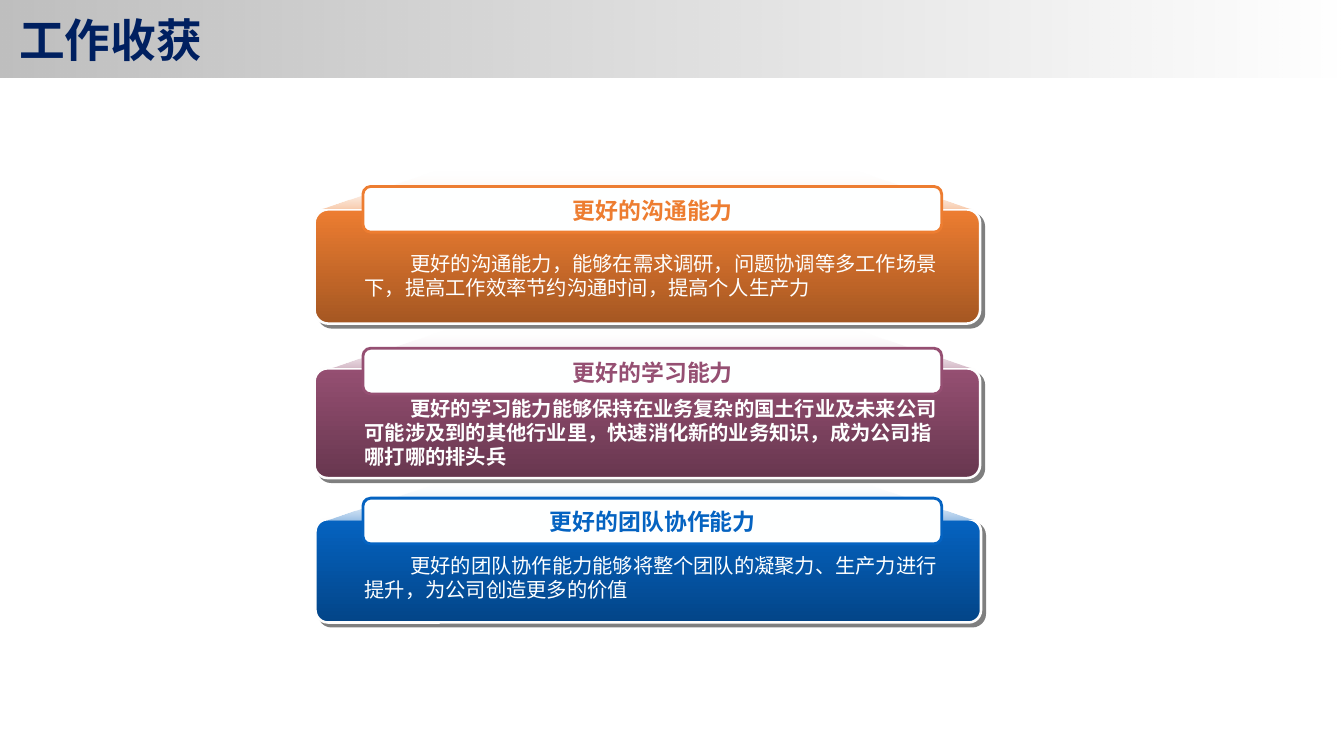
from dataclasses import dataclass
from typing import Any

from lxml import etree
from pptx import Presentation
from pptx import util as u
from pptx.dml.color import RGBColor
from pptx.enum import shapes, text
from pptx.oxml.ns import qn

COL = ROW = u.Inches(0.1)
COLS, ROWS = 147, 82.7
NAVY = RGBColor(0x00, 0x20, 0x60)
GREY = RGBColor(0xBF, 0xBF, 0xBF)
WHITE = RGBColor(0xFF, 0xFF, 0xFF)
PAPER = RGBColor(0xFE, 0xFF, 0xFF)
EDGE = RGBColor(0xFE, 0xFE, 0xFE)
BLACK = RGBColor(0x00, 0x00, 0x00)
ORANGE, RUST = RGBColor(0xED, 0x7D, 0x31), RGBColor(0xA5, 0x57, 0x22)
PLUM, WINE = RGBColor(0x95, 0x4F, 0x72), RGBColor(0x68, 0x37, 0x4F)
BLUE, DEEP = RGBColor(0x05, 0x63, 0xC1), RGBColor(0x03, 0x45, 0x88)
LABEL_LEFT, LABEL_WIDTH, LABEL_HEIGHT = 39.7, 63.3, 5
BODY_LEFT, BODY_WIDTH = 38.9, 65.8
TITLE_LEFT, TITLE_WIDTH, TITLE_HEIGHT = 43.9, 55, 4.4
ROOF_HEIGHT, ROOF_SLOPE = 4, 12.4


@dataclass(frozen=True)
class Box:
    left: float
    top: float
    width: float
    height: float

    def emu(self) -> tuple[int, int, int, int]:
        return (round(self.left * COL), round(self.top * ROW),
                round(self.width * COL), round(self.height * ROW))


@dataclass(frozen=True)
class Stop:
    at: int
    color: RGBColor
    alpha: int = 100


@dataclass(frozen=True)
class Gain:
    title: str
    body: str
    color: RGBColor
    dark: RGBColor
    card: Box
    roof: Box
    label_top: float
    body_top: float
    body_height: float
    bold: bool = False


GAINS = (
    Gain("更好的沟通能力",
         "更好的沟通能力，能够在需求调研，问题协调等多工作场景下，提高工作效率节约沟通时间，提高个人生产力",
         ORANGE, RUST, Box(34.4, 22.9, 72.8, 12.5),
         Box(35.2, 18.8, 71.1, ROOF_HEIGHT), 20.4, 27, 6.4),
    Gain("更好的学习能力",
         "更好的学习能力能够保持在业务复杂的国土行业及未来公司可能涉及到的其他行业里，快速消化新的业务知识，成为公司指哪打哪的排头兵",
         PLUM, WINE, Box(34.4, 40.3, 72.8, 12),
         Box(36.3, 36.2, 70, ROOF_HEIGHT), 38.1, 42.8, 9.1, True),
    Gain("更好的团队协作能力",
         "更好的团队协作能力能够将整个团队的凝聚力、生产力进行提升，为公司创造更多的价值",
         BLUE, DEEP, Box(34.5, 56.8, 72.8, 11.3),
         Box(35.8, 52.8, 70.8, ROOF_HEIGHT), 54.5, 60, 6.4),
)


def apply(target: Any, values: dict[str, Any]) -> None:
    for name, value in values.items():
        setattr(target, name, value)


def add_color(parent: Any, color: RGBColor, alpha: int) -> None:
    clr = etree.SubElement(parent, qn("a:srgbClr"), val=str(color))
    if alpha < 100:
        etree.SubElement(clr, qn("a:alpha"), val=str(alpha * 1000))


def set_gradient(sp: Any, stops: tuple[Stop, ...], angle: int) -> None:
    sp.fill.background()
    grad = etree.Element(qn("a:gradFill"), rotWithShape="1")
    gs_list = etree.SubElement(grad, qn("a:gsLst"))
    for stop in stops:
        gs = etree.SubElement(gs_list, qn("a:gs"), pos=str(stop.at * 1000))
        add_color(gs, stop.color, stop.alpha)
    etree.SubElement(grad, qn("a:lin"), ang=str(angle * 60000), scaled="0")
    sp_pr = sp._element.spPr
    sp_pr.replace(sp_pr.find(qn("a:noFill")), grad)


def set_line(sp: Any, color: RGBColor, width: float) -> None:
    sp.line.color.rgb = color
    sp.line.width = u.Pt(width)


def add_rect(s: Any, box: Box, rounding: float = 0) -> Any:
    kind = shapes.MSO_SHAPE.ROUNDED_RECTANGLE if rounding else shapes.MSO_SHAPE.RECTANGLE
    sp = s.shapes.add_shape(kind, *box.emu())
    sp.shadow.inherit = False
    if rounding:
        sp.adjustments[0] = rounding
    return sp


def add_header(s: Any) -> None:
    sp = add_rect(s, Box(0, 0, COLS, 8.5))
    set_gradient(sp, (Stop(0, GREY), Stop(100, GREY, 0)), 0)
    sp.line.fill.background()
    tf = sp.text_frame
    apply(tf, {"margin_left": u.Inches(0.21), "vertical_anchor": text.MSO_ANCHOR.MIDDLE})
    p = tf.paragraphs[0]
    p.alignment = text.PP_ALIGN.LEFT
    r = p.add_run()
    r.text = "工作收获"
    apply(r.font, {"size": u.Pt(36), "bold": True, "name": "Noto Sans CJK SC"})
    r.font.color.rgb = NAVY
    etree.SubElement(r.font._element, qn("a:ea"), typeface="Noto Sans CJK SC")


def add_card(s: Any, gain: Gain) -> None:
    sp = add_rect(s, gain.card, 0.12)
    set_gradient(sp, (Stop(0, gain.color), Stop(100, gain.dark)), 90)
    set_line(sp, EDGE, 2)
    effects = sp._element.spPr.find(qn("a:effectLst"))
    shadow = etree.SubElement(effects, qn("a:outerShdw"), blurRad="0",
                              dist=str(u.Pt(4.2)), dir=str(45 * 60000),
                              algn="ctr", rotWithShape="0")
    add_color(shadow, BLACK, 50)


def add_roof(s: Any, gain: Gain) -> None:
    left, top, width, height = gain.roof.emu()
    slope = round(ROOF_SLOPE * COL)
    outline = s.shapes.build_freeform(left, top + height)
    outline.add_line_segments([(left + slope, top), (left + width - slope, top),
                               (left + width, top + height)], close=True)
    sp = outline.convert_to_shape()
    sp.shadow.inherit = False
    set_gradient(sp, (Stop(0, WHITE, 0), Stop(100, gain.color, 40)), 90)
    sp.line.fill.background()


def add_label(s: Any, gain: Gain) -> None:
    sp = add_rect(s, Box(LABEL_LEFT, gain.label_top, LABEL_WIDTH, LABEL_HEIGHT), 0.17)
    sp.fill.solid()
    sp.fill.fore_color.rgb = PAPER
    set_line(sp, gain.color, 2.25)


def add_text(s: Any, box: Box, words: str, size: int, color: RGBColor, bold: bool) -> Any:
    tf = s.shapes.add_textbox(*box.emu()).text_frame
    apply(tf, {"word_wrap": True, "auto_size": text.MSO_AUTO_SIZE.SHAPE_TO_FIT_TEXT})
    p = tf.paragraphs[0]
    r = p.add_run()
    r.text = words
    apply(r.font, {"size": u.Pt(size), "bold": bold, "name": "Calibri"})
    r.font.color.rgb = color
    return p


def add_body(s: Any, gain: Gain) -> None:
    box = Box(BODY_LEFT, gain.body_top, BODY_WIDTH, gain.body_height)
    p = add_text(s, box, gain.body, 16, PAPER, gain.bold)
    p._p.get_or_add_pPr().set("indent", str(u.Inches(0.5)))


def add_title(s: Any, gain: Gain) -> None:
    box = Box(TITLE_LEFT, gain.label_top, TITLE_WIDTH, TITLE_HEIGHT)
    p = add_text(s, box, gain.title, 18, gain.color, True)
    apply(p, {"alignment": text.PP_ALIGN.CENTER, "line_spacing": 1.2})


def main() -> None:
    prs = Presentation()
    apply(prs, {"slide_width": round(COLS * COL), "slide_height": round(ROWS * ROW)})
    s = prs.slides.add_slide(prs.slide_layouts[6])
    add_header(s)
    for draw in (add_card, add_roof, add_label, add_body, add_title):
        for gain in GAINS:
            draw(s, gain)
    prs.save("out.pptx")


if __name__ == "__main__":
    main()
